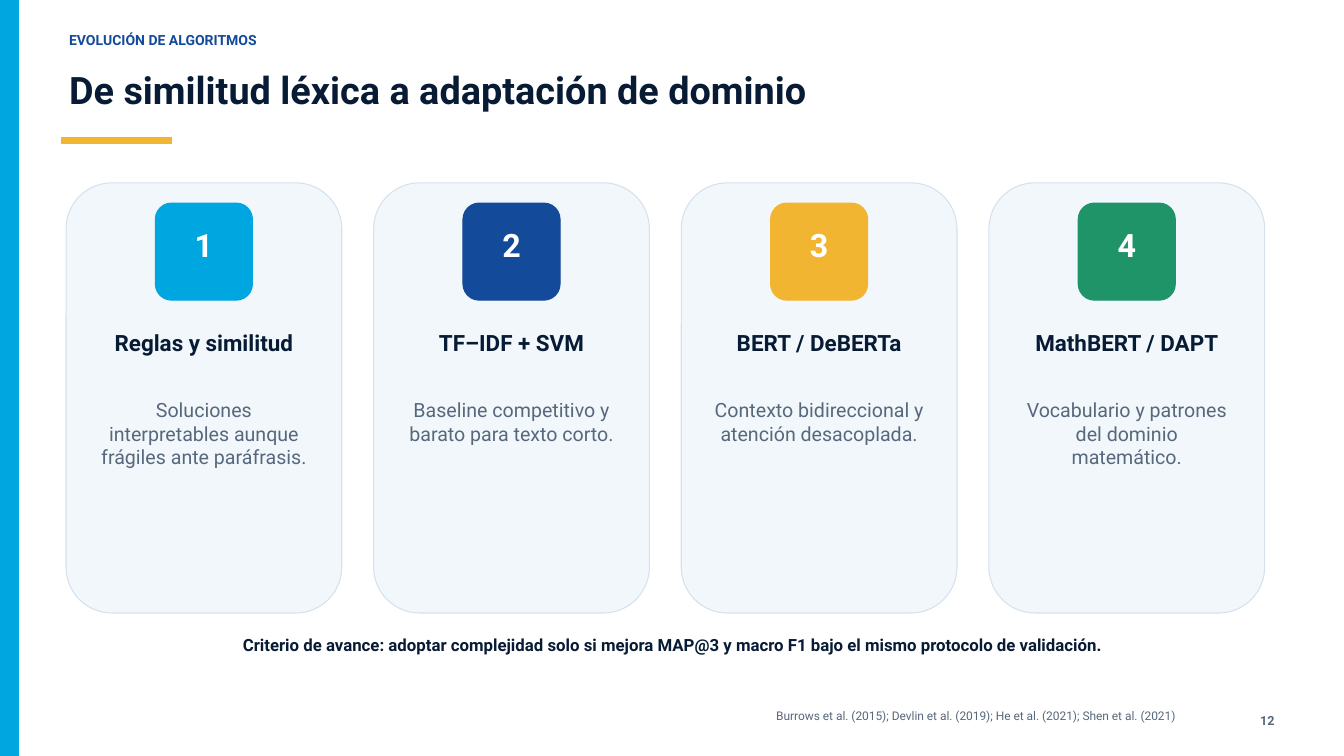
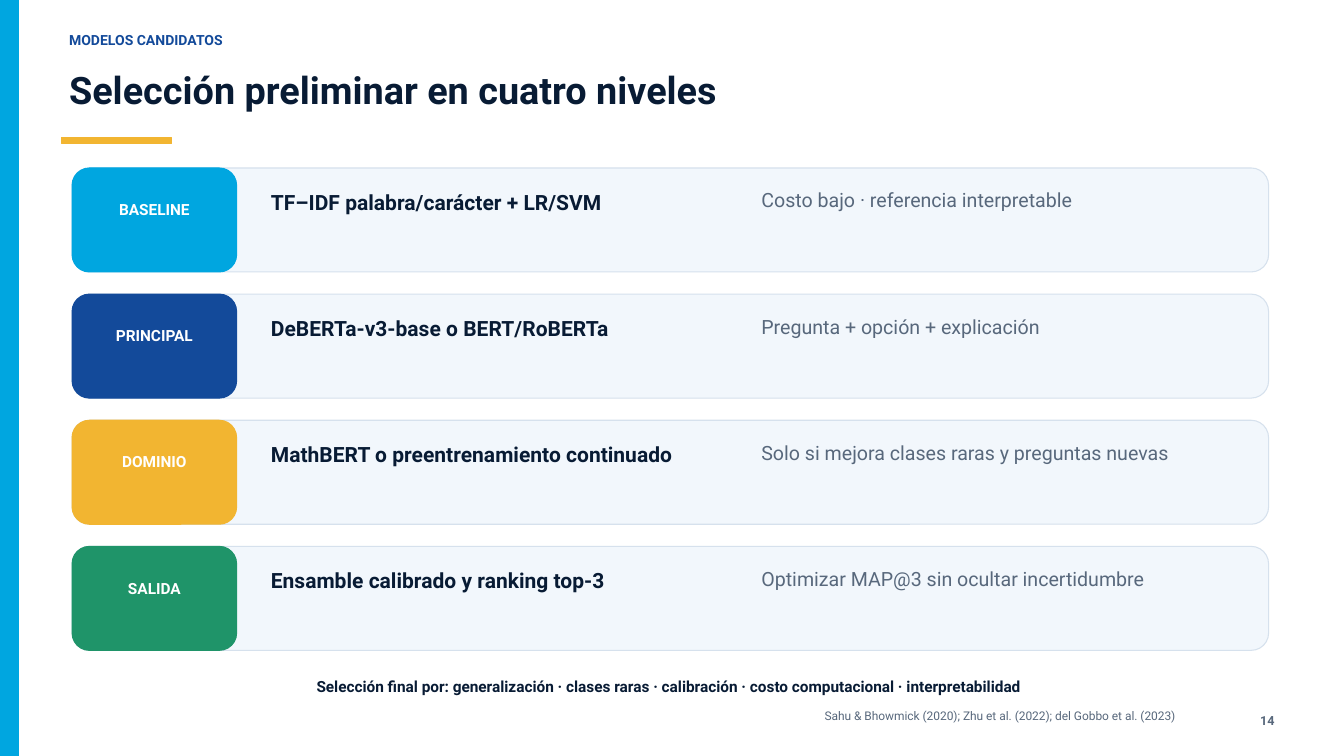
from pptx import Presentation
from pptx import util as u
from pptx.dml.color import RGBColor
from pptx.enum import shapes, text

Pt = u.Pt
WHITE = RGBColor(0xFF, 0xFF, 0xFF)
NAVY = RGBColor(0x08, 0x1B, 0x34)
BLUE = RGBColor(0x13, 0x4A, 0x9A)
CYAN = RGBColor(0x00, 0xA6, 0xE0)
AMBER = RGBColor(0xF2, 0xB5, 0x31)
GREEN = RGBColor(0x1F, 0x94, 0x69)
SLATE = RGBColor(0x58, 0x68, 0x7C)
PANEL = RGBColor(0xF2, 0xF7, 0xFC)
PANEL_EDGE = RGBColor(0xD6, 0xE1, 0xED)
LEVEL_COLORS = (CYAN, BLUE, AMBER, GREEN)

FONT = "Roboto"
LINE_FACTOR = 1.2
LINE_WIDTH = 1.13
RECT = shapes.MSO_SHAPE.RECTANGLE
ROUNDED = shapes.MSO_SHAPE.ROUNDED_RECTANGLE
LEFT, CENTER, RIGHT = (text.PP_ALIGN.LEFT, text.PP_ALIGN.CENTER,
                       text.PP_ALIGN.RIGHT)

# Text styles: font values and alignment
STYLES = {
    "section": (dict(size=15, bold=True, color=BLUE), LEFT),
    "title": (dict(size=40.5, bold=True, color=NAVY), LEFT),
    "page_number": (dict(size=13.5, bold=True, color=SLATE), RIGHT),
    "source": (dict(size=12.75, bold=False, color=SLATE), RIGHT),
    "badge": (dict(size=34.5, bold=True, color=WHITE), CENTER),
    "card_heading": (dict(size=24, bold=True, color=NAVY), CENTER),
    "card_body": (dict(size=21, bold=False, color=SLATE), CENTER),
    "criterion": (dict(size=18, bold=True, color=NAVY), CENTER),
    "tag": (dict(size=16.5, bold=True, color=WHITE), CENTER),
    "model": (dict(size=22.5, bold=True, color=NAVY), LEFT),
    "model_note": (dict(size=21, bold=False, color=SLATE), LEFT),
    "selection": (dict(size=16.5, bold=True, color=NAVY), CENTER),
}


def add_panel(page, kind, area, fill, edge=None):
    panel = page.shapes.add_shape(kind, *map(Pt, area))
    panel.shadow.inherit = False
    panel.fill.solid()
    panel.fill.fore_color.rgb = fill
    panel.line.color.rgb = edge or fill
    panel.line.width = Pt(LINE_WIDTH)
    return panel


def add_text(page, words, area, style):
    values, alignment = STYLES[style]
    box = page.shapes.add_textbox(*map(Pt, area))
    frame = box.text_frame
    frame_format = dict(word_wrap=True, margin_left=0, margin_top=0,
                        margin_right=0, margin_bottom=0,
                        auto_size=text.MSO_AUTO_SIZE.SHAPE_TO_FIT_TEXT)
    for name, value in frame_format.items():
        setattr(frame, name, value)
    para = frame.paragraphs[0]
    para.alignment = alignment
    para.line_spacing = Pt(values["size"] * LINE_FACTOR)
    span = para.add_run()
    span.text = words
    font_format = dict(name=FONT, size=Pt(values["size"]), bold=values["bold"])
    for name, value in font_format.items():
        setattr(span.font, name, value)
    span.font.color.rgb = values["color"]


def add_base_page(deck, section, title, number, source):
    """Side band, heading, accent rule and footer shared by every slide."""
    page = deck.slides.add_slide(deck.slide_layouts[6])
    page.background.fill.solid()
    page.background.fill.fore_color.rgb = WHITE
    add_panel(page, RECT, (-0.5, -0.5, 20.5, 811), CYAN)
    add_text(page, section, (74, 33.75, 904, 23), "section")
    add_text(page, title, (74, 71.5, 1272, 70), "title")
    add_panel(page, RECT, (66, 147.5, 118, 6.5), AMBER)
    add_text(page, number, (1320.5, 764, 45, 16.5), "page_number")
    add_text(page, source, (596, 759.5, 663, 24), "source")
    return page


def add_card(page, area, number, color, heading, body):
    left, top, width, height = area
    badge = 104
    badge_left = left + (width - badge) / 2
    add_panel(page, ROUNDED, area, PANEL, PANEL_EDGE)
    add_panel(page, ROUNDED, (badge_left, top + 21.6, badge, badge), color)

    def centered(words, text_width, offset, text_height, style):
        text_left = left + (width - text_width) / 2
        add_text(page, words, (text_left, top + offset, text_width, text_height), style)

    centered(str(number), 88.5, 45.3, 44.6, "badge")
    centered(heading, 232, 157, 44.6, "card_heading")
    centered(body, 225.4, 230.4, 168.5, "card_body")


def add_model_row(page, area, color, tag, model, note):
    left, top, width, height = area
    tag_width = 176.3
    add_panel(page, ROUNDED, area, PANEL, PANEL_EDGE)
    add_panel(page, ROUNDED, (left, top, tag_width, height), color)
    add_text(page, tag, (left + 20, top + 34.5, tag_width - 40, 26.6), "tag")
    add_text(page, model, (left + 213, top + 22.7, 520.5, 28.8), "model")
    add_text(page, note, (left + 738.5, top + 21.8, 494, 51), "model_note")


def build_evolution(deck):
    page = add_base_page(
        deck, "EVOLUCIÓN DE ALGORITMOS",
        "De similitud léxica a adaptación de dominio", "12",
        "Burrows et al. (2015); Devlin et al. (2019); "
        "He et al. (2021); Shen et al. (2021)")
    cards = (
        ("Reglas y similitud",
         "Soluciones interpretables aunque frágiles ante paráfrasis."),
        ("TF–IDF + SVM", "Baseline competitivo y barato para texto corto."),
        ("BERT / DeBERTa", "Contexto bidireccional y atención desacoplada."),
        ("MathBERT / DAPT", "Vocabulario y patrones del dominio matemático."),
    )
    card_width, gap = 295.4, 34.2
    for index, (color, card) in enumerate(zip(LEVEL_COLORS, cards)):
        left = 70.75 + index * (card_width + gap)
        add_card(page, (left, 196, card_width, 460.8), index + 1, color, *card)
    add_text(page, "Criterio de avance: adoptar complejidad solo si mejora MAP@3 "
             "y macro F1 bajo el mismo protocolo de validación.",
             (100, 680.5, 1241, 22), "criterion")


def build_candidates(deck):
    page = add_base_page(
        deck, "MODELOS CANDIDATOS", "Selección preliminar en cuatro niveles",
        "14", "Sahu & Bhowmick (2020); Zhu et al. (2022); del Gobbo et al. (2023)")
    rows = (
        ("BASELINE", "TF–IDF palabra/carácter + LR/SVM",
         "Costo bajo · referencia interpretable"),
        ("PRINCIPAL", "DeBERTa-v3-base o BERT/RoBERTa",
         "Pregunta + opción + explicación"),
        ("DOMINIO", "MathBERT o preentrenamiento continuado",
         "Solo si mejora clases raras y preguntas nuevas"),
        ("SALIDA", "Ensamble calibrado y ranking top-3",
         "Optimizar MAP@3 sin ocultar incertidumbre"),
    )
    row_height, gap = 111.4, 23.75
    for index, (color, row) in enumerate(zip(LEVEL_COLORS, rows)):
        top = 180 + index * (row_height + gap)
        add_model_row(page, (77.25, top, 1282, row_height), color, *row)
    add_text(page, "Selección final por: generalización · clases raras · calibración "
             "· costo computacional · interpretabilidad",
             (102.25, 725.75, 1228, 19), "selection")


def main():
    deck = Presentation()
    deck.slide_width, deck.slide_height = Pt(1440), Pt(810)
    build_evolution(deck)
    build_candidates(deck)
    deck.save("out.pptx")


if __name__ == "__main__":
    main()
